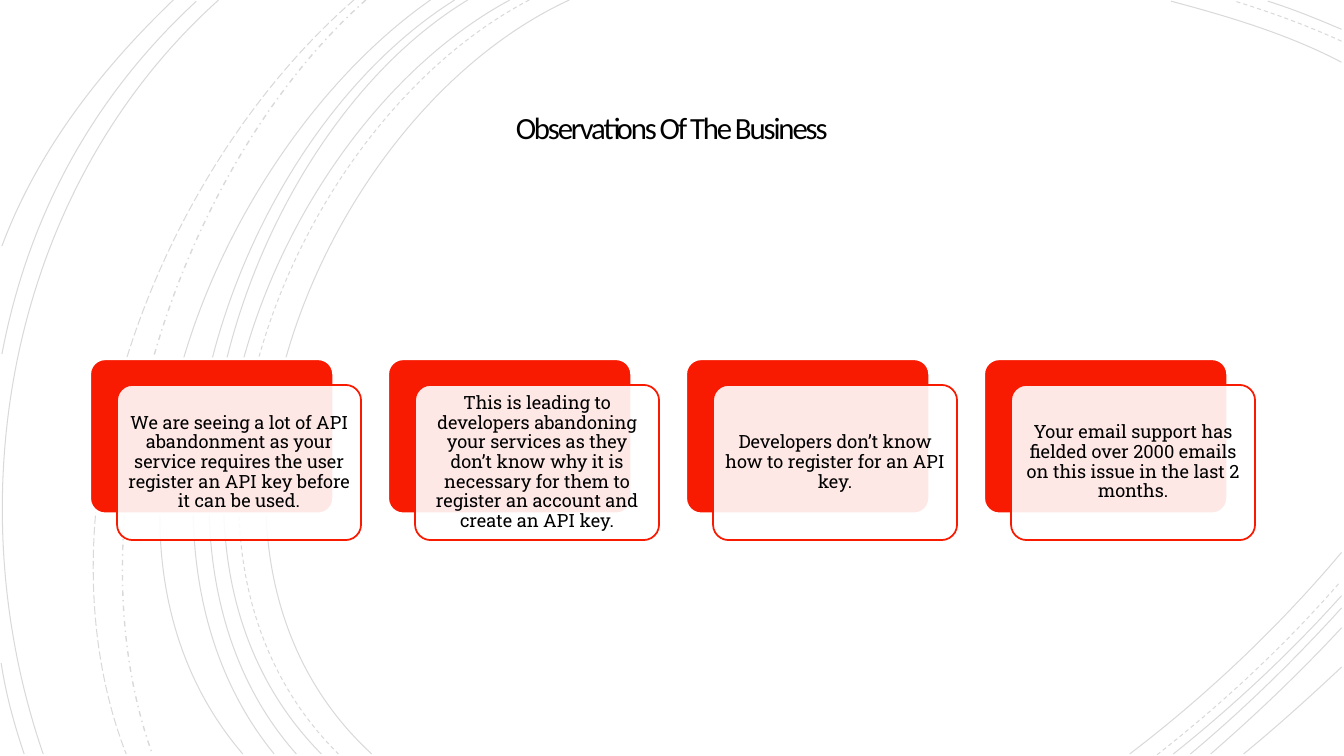
"""Build a slide of four business observations over sweeping arcs."""
from dataclasses import dataclass

from lxml.etree import SubElement
from pptx import Presentation
from pptx.dml.color import RGBColor as RGB
from pptx.enum.dml import MSO_LINE_DASH_STYLE as Dash
from pptx.enum.shapes import MSO_SHAPE as Kind
from pptx.enum.text import MSO_ANCHOR as Anchor, PP_ALIGN as Align
from pptx.oxml.ns import qn
from pptx.util import Cm, Pt


@dataclass(frozen=True)
class Theme:
    red: RGB = RGB(0xF8, 0x1B, 0x02)
    white: RGB = RGB(0xFF, 0xFF, 0xFF)
    black: RGB = RGB(0, 0, 0)
    head: str = "Calibri"
    body: str = "Roboto Slab"
    big: Pt = Pt(22)
    small: Pt = Pt(13)


theme = Theme()
deck = Presentation()
deck.slide_width, deck.slide_height = Cm(33.87), Cm(19.05)
slide = deck.slides.add_slide(deck.slide_layouts[6])
shapes = slide.shapes


def fade(shape, share):
    color = next(shape.element.spPr.iter(qn("a:srgbClr")))
    SubElement(color, qn("a:alpha")).set("val", str(share * 1000))


def write(frame, text, font, size, pad, space):
    frame.word_wrap = True
    frame.vertical_anchor = Anchor.MIDDLE
    frame.margin_left = frame.margin_right = pad
    frame.margin_top = frame.margin_bottom = pad
    para = frame.paragraphs[0]
    para.alignment, para.line_spacing = Align.CENTER, space
    run = para.add_run()
    run.text = text
    run.font.name, run.font.size = font, size
    run.font.color.rgb = theme.black
    return run


arcs = {
    (Dash.SOLID, 0.75): [
        [(14.35, 0), (8, 2.92), (3.63, 13.72), (9.37, 19)],
        [(33.81, 1.57), (32.46, 0.86), (30.94, 0.41), (29.51, 0.03)],
        [(28.47, 19), (30.4, 17.53), (32.23, 15.8), (33.81, 13.92)],
        [(12.85, 0), (6.86, 3.23), (2.79, 13.64), (8.1, 19)],
        [(33.81, 0.74), (33.2, 0.48), (32.59, 0.23), (31.95, 0.03)],
        [(29.57, 19), (31.06, 17.81), (32.51, 16.46), (33.81, 15.01)],
        [(11.79, 0), (6.2, 3.38), (2.79, 13.74), (7.47, 19)],
        [(30, 19), (31.34, 17.88), (32.61, 16.64), (33.81, 15.32)],
        [(11.46, 0), (5.87, 3.51), (2.46, 13.54), (6.91, 19)],
        [(30.51, 19), (31.65, 18.01), (32.77, 16.94), (33.81, 15.82)],
        [(10.85, 0), (5.51, 3.73), (1.35, 13.44), (6.12, 19)],
        [(31.34, 19), (32.18, 18.31), (32.99, 17.58), (33.81, 16.81)],
        [(5.51, 0), (0.28, 4.7), (-1.17, 12.45), (1.09, 19)],
        [(4.95, 0.03), (2.34, 2.44), (0.71, 5.44), (0.05, 8.92)],
        [(0.03, 16.71), (0.15, 17.5), (0.36, 18.26), (0.61, 19)],
        [(4.37, 0), (2.54, 1.75), (0.94, 3.81), (0.05, 6.2)],
    ],
    (Dash.DASH, 0.75): [
        [(13.34, 0), (7.24, 3.18), (3.12, 13.64), (8.53, 19)],
        [(33.81, 1.04), (32.94, 0.64), (32, 0.3), (31.12, 0.03)],
        [(29.16, 19.02), (30.81, 17.73), (32.39, 16.26), (33.78, 14.66)],
    ],
    (Dash.DASH_DOT, 1): [
        [(9.22, 0), (4.47, 4.22), (1.65, 12.93), (3.84, 19)],
    ],
    (Dash.LONG_DASH, 0.75): [
        [(8.92, 0), (3.99, 4.29), (0.74, 12.67), (3.18, 19)],
    ],
}
for (dash, width), group in arcs.items():
    for knots in group:
        start, *rest = [(Cm(x), Cm(y)) for x, y in knots]
        pen = shapes.build_freeform(*start)
        pen.add_line_segments(rest, close=False)
        arc = pen.convert_to_shape()
        trace = next(arc.element.spPr.iter(qn("a:path")))
        bend = SubElement(trace, qn("a:cubicBezTo"))
        for step in trace.findall(qn("a:lnTo")):
            bend.append(step[0])
            trace.remove(step)
        arc.shadow.inherit = False
        arc.fill.background()
        arc.line.color.rgb = theme.black
        arc.line.width, arc.line.dash_style = Pt(width), dash
        fade(arc, 15)

title = shapes.add_textbox(Cm(4.88), Cm(2.21), Cm(24.1), Cm(2.92))
head = write(title.text_frame, "Observations Of The Business",
             theme.head, theme.big, Cm(0.64), 0.85)
head.font.element.set("spc", "-150") if hasattr(head.font, "element") else head._r.get_or_add_rPr().set("spc", "-150")
title.text_frame.margin_bottom = Cm(1.44)

notes = [
    "We are seeing a lot of API abandonment as your service requires "
    "the user register an API key before it can be used.",
    "This is leading to developers abandoning your services as they "
    "don’t know why it is necessary for them to register an account "
    "and create an API key.",
    "Developers don’t know how to register for an API key.",
    "Your email support has fielded over 2000 emails on this issue "
    "in the last 2 months.",
]
layers = [
    (0, 0, theme.red, theme.white, 2),
    (0.69, 0.66, theme.white, theme.red, 1.25),
]
for i, note in enumerate(notes):
    for dx, dy, fill, edge, width in layers:
        card = shapes.add_shape(Kind.ROUNDED_RECTANGLE, Cm(2.26 + 7.51 * i + dx),
                                Cm(9.04 + dy), Cm(6.15), Cm(3.91))
        card.adjustments[0] = 0.1
        card.shadow.inherit = False
        card.fill.solid()
        card.fill.fore_color.rgb = fill
        card.line.color.rgb, card.line.width = edge, Pt(width)
    fade(card, 90)
    write(card.text_frame, note, theme.body, theme.small, Cm(0.13), 0.9)

deck.save("out.pptx")
